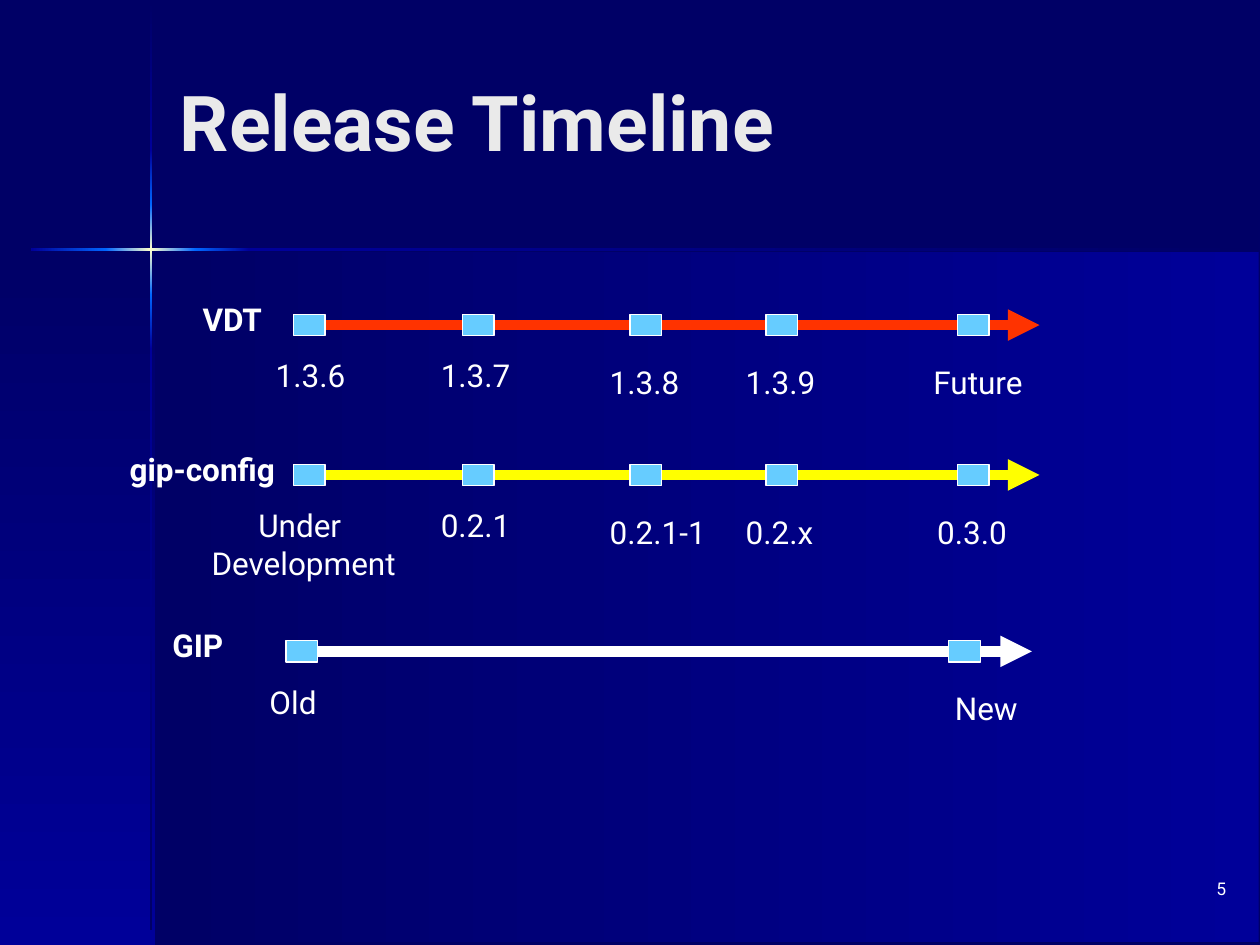
"""Build the Release Timeline slide: three release tracks on a dark blue backdrop."""
import pptx
import pptx.dml.color
import pptx.enum.shapes
import pptx.enum.text
import pptx.oxml.ns
import pptx.util
from lxml import etree

Inches = pptx.util.Inches
Pt = pptx.util.Pt
qn = pptx.oxml.ns.qn
Align = pptx.enum.text.PP_ALIGN

FONT = "Roboto"
NAVY, BLUE, GLOW, SPARK = "000066", "000099", "0066FF", "FFFFCC"
WHITE, MARKER = "FFFFFF", "66CCFF"
LEFTWARD, DOWNWARD = 180, 270

PANELS = [
    (1.33, 2, 8.66, 5.48, LEFTWARD, (BLUE, NAVY)),
    (0, 1.92, 1.23, 5.58, DOWNWARD, (NAVY, BLUE)),
]
BEAM = 0.02
VERTICAL_BEAM_X, HORIZONTAL_BEAM_Y = 1.19, 1.97
VERTICAL_BEAM = [
    (0, 1.19, (NAVY, BLUE)),
    (2.77, 7.38, (BLUE, NAVY)),
    (2.34, 2.77, (GLOW, BLUE)),
    (1.19, 1.62, (BLUE, GLOW)),
    (1.62, 2.34, (GLOW, SPARK, GLOW)),
]
HORIZONTAL_BEAM = [
    (1.98, 10, (NAVY, BLUE)),
    (0.25, 0.85, (GLOW, BLUE)),
    (1.55, 1.98, (BLUE, GLOW)),
    (0.84, 1.55, (GLOW, SPARK, GLOW)),
]

MARKER_WIDTH, MARKER_HEIGHT = 0.25, 0.17
ARROW_INSET, ARROW_LENGTH = 0.17, 5.75
NAME_RISE, HIGH_DROP, LOW_DROP = 0.25, 0.2, 0.25
LINE_HEIGHT, NEXT_LINE = 0.4, 0.3
FIVE_STOPS = [2.33, 3.67, 5, 6.08, 7.6]

TRACKS = [
    {"name": ("VDT", 1.51, 0.69), "y": 2.58, "color": "FF3300", "stops": FIVE_STOPS,
     "releases": [("1.3.6", 2.09, 0.76, HIGH_DROP), ("1.3.7", 3.4, 0.76, HIGH_DROP),
                  ("1.3.8", 4.74, 0.76, LOW_DROP), ("1.3.9", 5.82, 0.76, LOW_DROP),
                  ("Future", 7.31, 0.97, LOW_DROP)]},
    {"name": ("gip-config", 0.93, 1.45), "y": 3.77, "color": "FFFF00", "stops": FIVE_STOPS,
     "releases": [("Under \nDevelopment", 1.52, 1.78, HIGH_DROP), ("0.2.1", 3.4, 0.76, HIGH_DROP),
                  ("0.2.1-1", 4.74, 0.98, LOW_DROP), ("0.2.x", 5.82, 0.75, LOW_DROP),
                  ("0.3.0", 7.34, 0.76, LOW_DROP)]},
    {"name": ("GIP", 1.27, 0.63), "y": 5.17, "color": WHITE, "stops": [2.27, 7.53],
     "releases": [("Old", 2.04, 0.61, HIGH_DROP), ("New", 7.48, 0.73, LOW_DROP)]},
]


def rgb(value):
    return pptx.dml.color.RGBColor.from_string(value)


def add_block(slide, left, top, width, height):
    block = slide.shapes.add_shape(
        pptx.enum.shapes.MSO_SHAPE.RECTANGLE,
        Inches(left), Inches(top), Inches(width), Inches(height))
    block.shadow.inherit = False
    return block


def add_gradient(slide, left, top, width, height, angle, colors):
    block = add_block(slide, left, top, width, height)
    block.line.fill.background()
    block.fill.gradient()
    block.fill.gradient_angle = angle
    stops = block._element.spPr.find(".//" + qn("a:gsLst"))
    for stop in list(stops):
        stops.remove(stop)
    for index, color in enumerate(colors):
        position = 100000 * index // (len(colors) - 1)
        stop = etree.SubElement(stops, qn("a:gs"), pos=str(position))
        etree.SubElement(stop, qn("a:srgbClr"), val=color)


def add_marker(slide, left, y):
    marker = add_block(slide, left, y - MARKER_HEIGHT / 2, MARKER_WIDTH, MARKER_HEIGHT)
    marker.fill.solid()
    marker.fill.fore_color.rgb = rgb(MARKER)
    marker.line.color.rgb = rgb(WHITE)
    marker.line.width = Pt(0.75)


def add_arrow(slide, left, y, color):
    arrow = slide.shapes.add_connector(
        pptx.enum.shapes.MSO_CONNECTOR.STRAIGHT,
        Inches(left), Inches(y), Inches(left + ARROW_LENGTH), Inches(y))
    arrow.line.color.rgb = rgb(color)
    arrow.line.width = Pt(6)
    etree.SubElement(arrow.line._get_or_add_ln(), qn("a:tailEnd"), type="triangle")
    etree.SubElement(arrow._element.spPr, qn("a:effectLst"))


def add_text(slide, text, left, top, width, height, size=18, color=WHITE,
             bold=False, align=Align.LEFT, wrap=False):
    box = slide.shapes.add_textbox(Inches(left), Inches(top), Inches(width), Inches(height))
    frame = box.text_frame
    frame.word_wrap = wrap
    frame.text = text
    for paragraph in frame.paragraphs:
        paragraph.alignment = align
        paragraph.font.name = FONT
        paragraph.font.size = Pt(size)
        paragraph.font.bold = bold
        paragraph.font.color.rgb = rgb(color)
    return frame


def add_track(slide, track):
    y, stops = track["y"], track["stops"]
    add_arrow(slide, stops[0] + ARROW_INSET, y, track["color"])
    for left in stops:
        add_marker(slide, left, y)
    name, left, width = track["name"]
    add_text(slide, name, left, y - NAME_RISE, width, LINE_HEIGHT, bold=True)
    for release, left, width, drop in track["releases"]:
        breaks = release.count("\n")
        add_text(slide, release, left, y + drop, width, LINE_HEIGHT + NEXT_LINE * breaks,
                 align=Align.CENTER if breaks else Align.LEFT)


def main():
    deck = pptx.Presentation()
    deck.slide_width, deck.slide_height = Inches(10), Inches(7.5)
    slide = deck.slides.add_slide(deck.slide_layouts[6])
    slide.background.fill.solid()
    slide.background.fill.fore_color.rgb = rgb(NAVY)

    for panel in PANELS:
        add_gradient(slide, *panel)
    for start, end, colors in VERTICAL_BEAM:
        add_gradient(slide, VERTICAL_BEAM_X, start, BEAM, end - start, DOWNWARD, colors)
    for start, end, colors in HORIZONTAL_BEAM:
        add_gradient(slide, start, HORIZONTAL_BEAM_Y, end - start, BEAM, LEFTWARD, colors)

    title = add_text(slide, "Release Timeline", 1.33, 0.17, 8.25, 1.57,
                     size=44, color="EAEAEA", bold=True, wrap=True)
    title.vertical_anchor = pptx.enum.text.MSO_ANCHOR.MIDDLE
    for track in TRACKS:
        add_track(slide, track)
    add_text(slide, "5", 7.75, 6.92, 2.08, 0.5, size=10, align=Align.RIGHT, wrap=True)
    deck.save("out.pptx")


if __name__ == "__main__":
    main()
